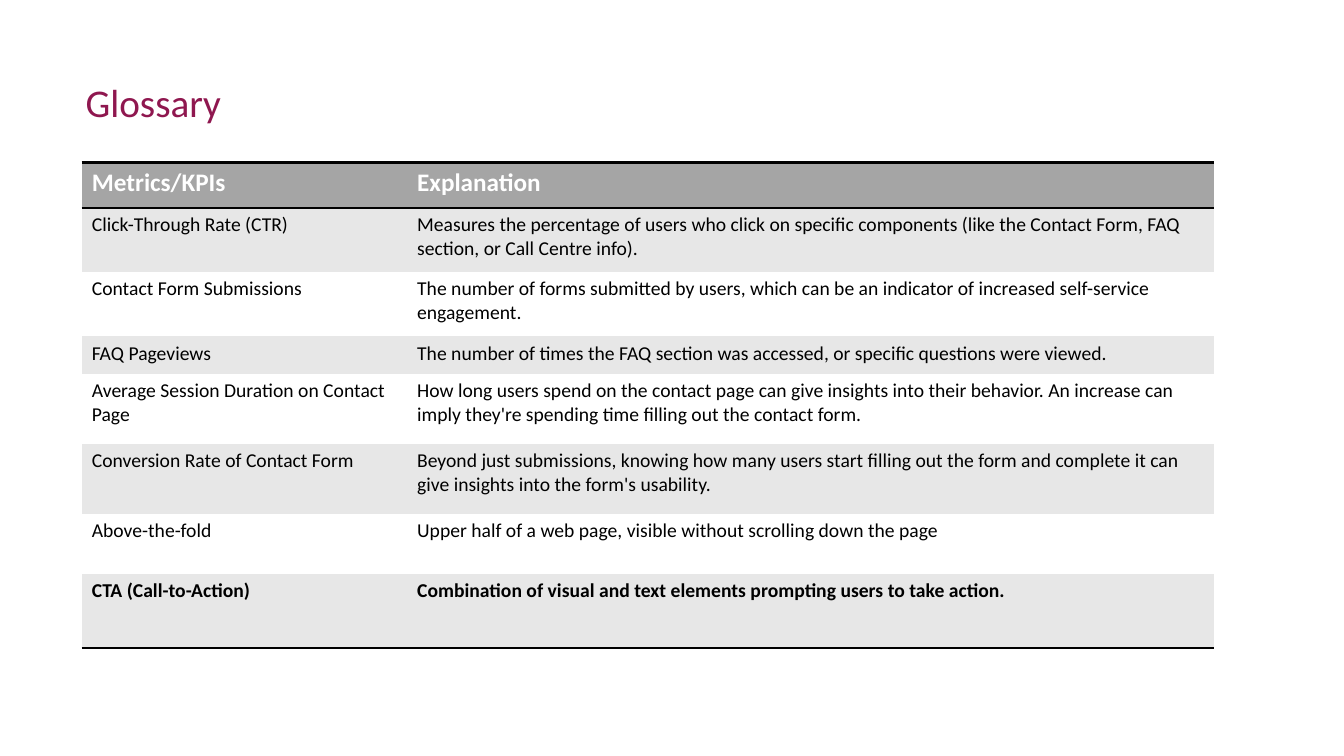
"""Build a glossary slide with a table of web metrics and their explanations."""
import pptx
import pptx.dml.color
import pptx.oxml
import pptx.oxml.ns
import pptx.util

Cm = pptx.util.Cm
Pt = pptx.util.Pt
FONT = "Calibri"
COLOURS = {
    "title": "8F174F",
    "header": "A5A5A5",
    "band": "E7E7E7",
    "white": "FFFFFF",
    "black": "000000",
}
NO_STYLE = "{2D5ABB26-0587-4C30-8999-92F81FD0307C}"
COLUMN_WIDTHS = [8.2, 20.34]
GLOSSARY = [
    (1.14, "Metrics/KPIs", "Explanation"),
    (1.62, "Click-Through Rate (CTR)",
     "Measures the percentage of users who click on specific components "
     "(like the Contact Form, FAQ section, or Call Centre info)."),
    (1.62, "Contact Form Submissions",
     "The number of forms submitted by users, which can be an indicator of "
     "increased self-service engagement."),
    (0.95, "FAQ Pageviews",
     "The number of times the FAQ section was accessed, or specific questions "
     "were viewed."),
    (1.76, "Average Session Duration on Contact Page",
     "How long users spend on the contact page can give insights into their "
     "behavior. An increase can imply they're spending time filling out the "
     "contact form."),
    (1.76, "Conversion Rate of Contact Form",
     "Beyond just submissions, knowing how many users start filling out the "
     "form and complete it can give insights into the form's usability."),
    (1.52, "Above-the-fold",
     "Upper half of a web page, visible without scrolling down the page"),
    (1.86, "CTA (Call-to-Action)",
     "Combination of visual and text elements prompting users to take action."),
]


def add_span(para, text, size, colour, bold=False):
    span = para.add_run()
    span.text = text
    span.font.name = FONT
    span.font.size = Pt(size)
    span.font.bold = bold
    span.font.color.rgb = pptx.dml.color.RGBColor.from_string(COLOURS[colour])


def add_borders(cell, sides):
    properties = cell._tc.get_or_add_tcPr()
    for position, side in enumerate(sides):
        line = pptx.oxml.parse_xml(
            f'<a:ln{side} {pptx.oxml.ns.nsdecls("a")} w="{Pt(2)}"><a:solidFill>'
            f'<a:srgbClr val="{COLOURS["black"]}"/></a:solidFill></a:ln{side}>')
        properties.insert(position, line)


deck = pptx.Presentation()
deck.slide_width = Cm(33.87)
deck.slide_height = Cm(19.05)
page = deck.slides.add_slide(deck.slide_layouts[6])

title_box = page.shapes.add_textbox(Cm(2.06), Cm(2.01), Cm(30.99), Cm(1.4))
title_frame = title_box.text_frame
title_frame.word_wrap = True
title_frame.margin_left = title_frame.margin_right = Cm(0.1)
title_frame.margin_top = title_frame.margin_bottom = Cm(0.1)
title_para = title_frame.paragraphs[0]
title_para.line_spacing = 0.9
add_span(title_para, "Glossary", 28, "title")

table_frame = page.shapes.add_table(
    len(GLOSSARY), len(COLUMN_WIDTHS), Cm(2.06), Cm(4.1),
    Cm(sum(COLUMN_WIDTHS)), Cm(sum(entry[0] for entry in GLOSSARY)))
table = table_frame.table
table.horz_banding = False
table._tbl.tblPr[0].text = NO_STYLE
for column, width in zip(table.columns, COLUMN_WIDTHS):
    column.width = Cm(width)

last = len(GLOSSARY) - 1
for index, (height, *texts) in enumerate(GLOSSARY):
    table.rows[index].height = Cm(height)
    is_header = index == 0
    fill = "header" if is_header else "band" if index % 2 else "white"
    for column_index, text in enumerate(texts):
        cell = table.cell(index, column_index)
        cell.fill.solid()
        cell.fill.fore_color.rgb = pptx.dml.color.RGBColor.from_string(COLOURS[fill])
        add_span(cell.text_frame.paragraphs[0], text, 18 if is_header else 14,
                 "white" if is_header else "black", index in (0, last))
        add_borders(cell, {0: "TB", last: "B"}.get(index, ""))

deck.save("out.pptx")
